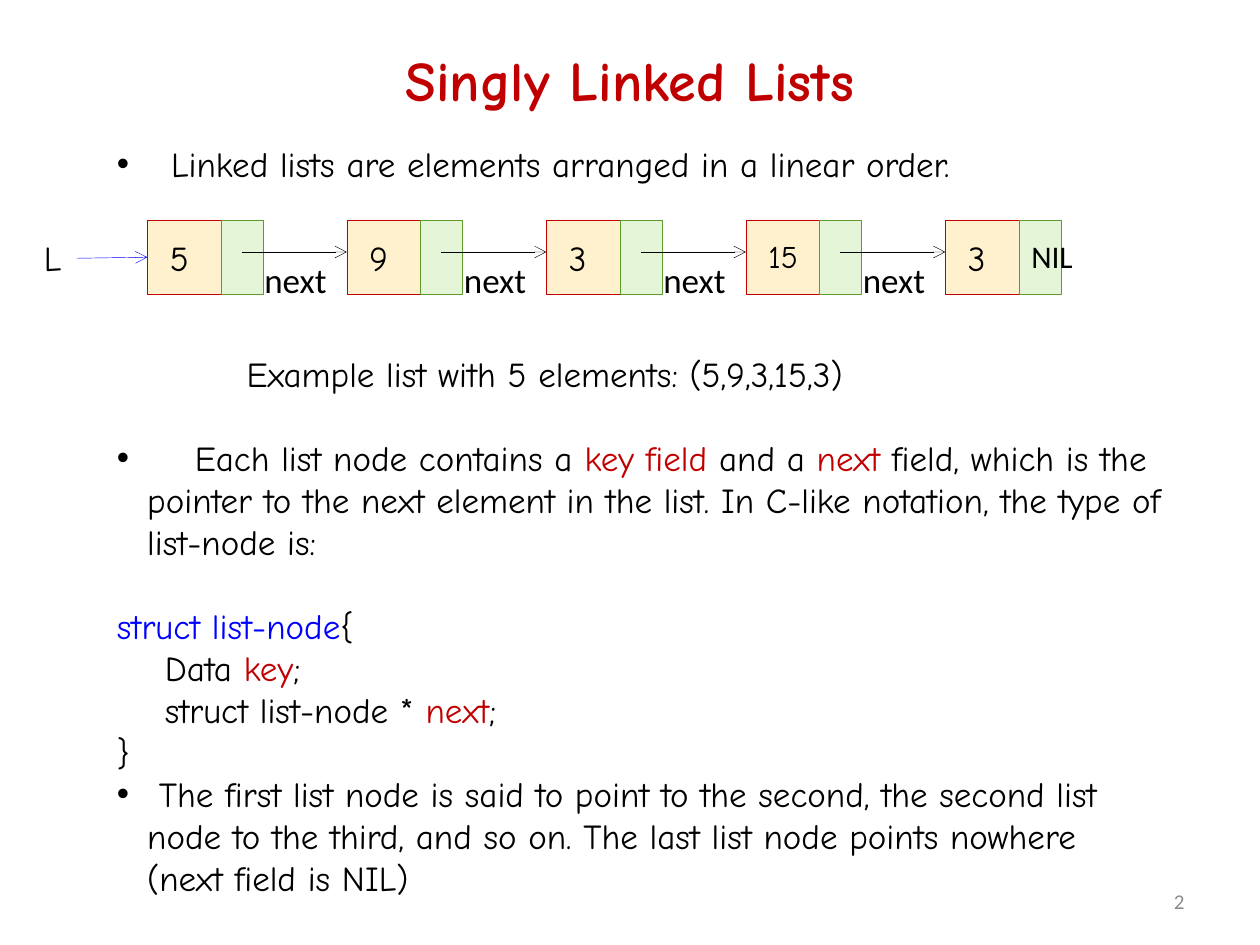
from lxml import etree
from pptx import Presentation
from pptx.dml.color import RGBColor
from pptx.enum.shapes import MSO_CONNECTOR, MSO_SHAPE
from pptx.enum.text import MSO_ANCHOR, PP_ALIGN
from pptx.oxml.ns import qn
from pptx.util import Inches, Pt

RECTANGLE = MSO_SHAPE.RECTANGLE
STRAIGHT = MSO_CONNECTOR.STRAIGHT
TOP, MIDDLE = MSO_ANCHOR.TOP, MSO_ANCHOR.MIDDLE
LEFT, CENTER, RIGHT = PP_ALIGN.LEFT, PP_ALIGN.CENTER, PP_ALIGN.RIGHT

BLACK = RGBColor(0x00, 0x00, 0x00)
RED = RGBColor(0xC0, 0x00, 0x00)
BLUE = RGBColor(0x00, 0x00, 0xFF)
GRAY = RGBColor(0x8C, 0x8C, 0x8C)
CREAM = RGBColor(0xFF, 0xF1, 0xCE)
PALE_GREEN = RGBColor(0xE5, 0xF6, 0xD8)
GREEN = RGBColor(0x5E, 0x9B, 0x2C)

HAND_FONT, PLAIN_FONT = "Comic Neue", "Calibri"
BODY_SIZE = 20
LINE_PITCH = 24  # points from one body line to the next

# Content
TITLE = "Singly Linked Lists"
PAGE_NUMBER = "2"
KEYS = ["5", "9", "3", "15", "3"]

# Each paragraph: lines skipped above, bullet, left margin, first-line gap in points, runs
BODY = [
    (0, True, 0.43, 0, [("Linked lists are elements arranged in a linear order.", BLACK)]),
    (4, False, 1.03, 0, [("Example list with 5 elements: (5,9,3,15,3)", BLACK)]),
    (1, True, 0.24, 20.5, [
        ("Each list node contains a ", BLACK), ("key field ", RED),
        ("and a ", BLACK), ("next ", RED),
        ("field, which is the pointer to the next element in the list. "
         "In C-like notation, the type of list-node is:", BLACK)]),
    (1, False, 0, 0, [("struct list-node", BLUE), ("{", BLACK)]),
    (0, False, 0.38, 0, [("Data ", BLACK), ("key", RED), (";", BLACK)]),
    (0, False, 0.38, 0, [("struct list-node * ", BLACK), ("next", RED), (";", BLACK)]),
    (0, False, 0, 0, [("}", BLACK)]),
    (0, True, 0.24, 0, [
        (" The first list node is said to point to the second, the second list node "
         "to the third, and so on. The last list node points nowhere "
         "(next field is NIL)", BLACK)]),
]

# Node geometry, in inches
FIRST_LEFT, NODE_TOP = 1.17, 1.75
NODE_PITCH = 19 / 12
KEY_SIDE, NEXT_WIDTH = 7 / 12, 1 / 3
ARROW_Y, KEY_TEXT_TOP = 2, 1.83

presentation = Presentation()
presentation.slide_width, presentation.slide_height = Inches(10), Inches(7.5)
slide = presentation.slides.add_slide(presentation.slide_layouts[6])


def add_run(paragraph, text, size, color=BLACK, font=HAND_FONT, bold=False):
    run = paragraph.add_run()
    run.text = text
    run.font.size = Pt(size)
    run.font.name = font
    run.font.color.rgb = color
    run.font.bold = bold
    return run


def add_box(left, top, width, height, wrap=True, anchor=TOP):
    box = slide.shapes.add_textbox(*map(Inches, (left, top, width, height)))
    box.text_frame.word_wrap = wrap
    box.text_frame.vertical_anchor = anchor
    return box.text_frame


def add_label(place, text, size, align=LEFT, wrap=False, anchor=TOP, **style):
    paragraph = add_box(*place, wrap, anchor).paragraphs[0]
    paragraph.alignment = align
    add_run(paragraph, text, size, **style)


def add_cell(left, width, fill, line):
    cell = slide.shapes.add_shape(
        RECTANGLE, *map(Inches, (left, NODE_TOP, width, KEY_SIDE)))
    cell.shadow.inherit = False
    cell.fill.solid()
    cell.fill.fore_color.rgb = fill
    cell.line.color.rgb = line
    cell.line.width = Pt(0.25)
    return cell


def add_arrow(start, end, color):
    arrow = slide.shapes.add_connector(STRAIGHT, *map(Inches, start + end))
    arrow.line.color.rgb = color
    arrow.line.width = Pt(0.25)
    etree.SubElement(arrow.line._get_or_add_ln(), qn("a:tailEnd"), type="arrow")
    etree.SubElement(arrow._element.spPr, qn("a:effectLst"))
    return arrow


# Title and page number
add_label((0.5, 0, 9, 1.25), TITLE, 32, CENTER, True, MIDDLE, color=RED, bold=True)
add_label((7.17, 6.95, 2.33, 0.4), PAGE_NUMBER, 12, RIGHT, True, MIDDLE,
          color=GRAY, font=PLAIN_FONT)

# Body text
body = add_box(0.83, 1.08, 8.5, 6.16)
for index, (skipped, bullet, margin, gap, runs) in enumerate(BODY):
    paragraph = body.add_paragraph() if index else body.paragraphs[0]
    paragraph.space_before = Pt(skipped * LINE_PITCH)
    properties = paragraph._p.get_or_add_pPr()
    properties.set("marL", str(Inches(margin)))
    if bullet:
        properties.set("indent", str(-Inches(margin)))
        etree.SubElement(properties, qn("a:buFont"), typeface="Arial")
        etree.SubElement(properties, qn("a:buChar"), char="•")
    if gap:
        spacer = add_run(paragraph, " ", BODY_SIZE)
        spacer.font._element.set("spc", str(int(gap * 100)))
    for text, color in runs:
        add_run(paragraph, text, BODY_SIZE, color)

# Nodes with their keys
lefts = [FIRST_LEFT + index * NODE_PITCH for index in range(len(KEYS))]
key_cells = []
for left, key in zip(lefts, KEYS):
    key_cells.append(add_cell(left, KEY_SIDE, CREAM, RED))
    add_cell(left + KEY_SIDE, NEXT_WIDTH, PALE_GREEN, GREEN)
    add_label((left + 0.08, KEY_TEXT_TOP, 0.5, 0.44), key,
              18 if len(key) > 1 else 20, wrap=True)

# Pointers from each node to the next
for left, next_left in zip(lefts, lefts[1:]):
    add_arrow((left + KEY_SIDE + NEXT_WIDTH / 2, ARROW_Y), (next_left, ARROW_Y), BLACK)
    add_label((left + 0.83, ARROW_Y, 0.7, 0.44), "next", 20, font=PLAIN_FONT)
add_label((lefts[-1] + KEY_SIDE, KEY_TEXT_TOP, 0.54, 0.4), "NIL", 18, font=PLAIN_FONT)

# Head of the list
add_label((0.25, KEY_TEXT_TOP, 0.36, 0.44), "L", 20)
head_arrow = add_arrow((0.61, 2.05), (FIRST_LEFT, NODE_TOP + KEY_SIDE / 2), BLUE)
head_arrow.end_connect(key_cells[0], 1)

presentation.save("out.pptx")
